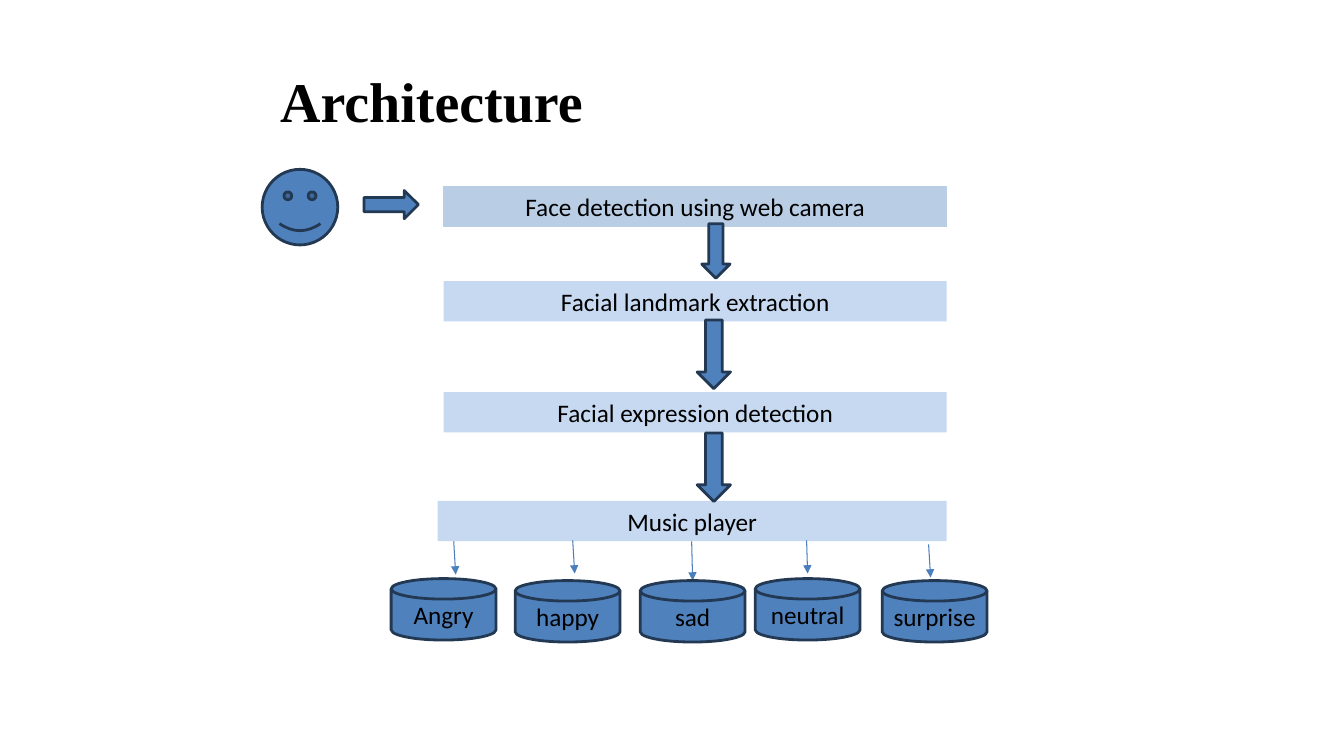
"""Build the architecture slide of an emotion-based music player."""
from lxml import etree
from pptx import Presentation
from pptx.dml.color import RGBColor
from pptx.enum.shapes import MSO_CONNECTOR, MSO_SHAPE as SHAPE
from pptx.enum.text import MSO_ANCHOR as ANCHOR, PP_ALIGN as ALIGN
from pptx.oxml.ns import qn
from pptx.util import Inches, Pt

TITLE = "Architecture"
BLUE, NAVY, ARROW_BLUE = "4F81BD", "233953", "4B7EBC"
PALE, STEEL, BLACK = "C6D9F1", "B9CDE5", "000000"
STAGE_RIGHT, STAGE_HEIGHT = 9.39, 0.4
DISK_WIDTH, DISK_HEIGHT = 1.04, 0.61

STAGES = [
    ("Face detection using web camera", 4.4, 1.85, STEEL),
    ("Facial landmark extraction", 4.4, 2.79, PALE),
    ("Facial expression detection", 4.4, 3.89, PALE),
    ("Music player", 4.34, 4.97, PALE),
]
STEPS = [
    (3.61, 1.89, 0.54, 0.28, 0),
    (6.83, 2.35, 0.54, 0.28, 90),
    (6.74, 3.35, 0.68, 0.33, 90),
    (6.74, 4.47, 0.68, 0.33, 90),
]
MOODS = [
    ("Angry", 3.88, 5.74, (4.5, 5.37, 4.52, 5.7)),
    ("happy", 5.11, 5.76, (5.68, 5.36, 5.7, 5.69)),
    ("sad", 6.35, 5.76, (6.86, 5.37, 6.87, 5.76)),
    ("neutral", 7.49, 5.74, (8, 5.36, 8.01, 5.69)),
    ("surprise", 8.75, 5.76, (9.21, 5.4, 9.23, 5.73)),
]


def color(value):
    return RGBColor.from_string(value)


def write(frame, text, size, font, bold=False):
    frame.text = text
    run = frame.paragraphs[0].runs[0]
    run.font.size, run.font.name, run.font.bold = Pt(size), font, bold
    run.font.color.rgb = color(BLACK)
    return run


def add_block(slide, kind, box, fill, line=None, width=2, text=None):
    block = slide.shapes.add_shape(kind, *map(Inches, box))
    block.shadow.inherit = False
    block.fill.solid()
    block.fill.fore_color.rgb = color(fill)
    if line:
        block.line.color.rgb = color(line)
        block.line.width = Pt(width)
    else:
        block.line.fill.background()
    if text:
        frame = block.text_frame
        write(frame, text, 18, "Calibri")
        frame.word_wrap = True
        frame.vertical_anchor = ANCHOR.MIDDLE
        frame.paragraphs[0].alignment = ALIGN.CENTER
    return block


def add_arrow(slide, ends):
    arrow = slide.shapes.add_connector(MSO_CONNECTOR.STRAIGHT, *map(Inches, ends))
    arrow.line.color.rgb = color(ARROW_BLUE)
    arrow.line.width = Pt(0.75)
    etree.SubElement(arrow.line._get_or_add_ln(), qn("a:tailEnd"), type="triangle")
    etree.SubElement(arrow._element.spPr, qn("a:effectLst"))


def add_title(slide):
    heading = slide.shapes.add_textbox(*map(Inches, (2.75, 0.34, 7.56, 1.17)))
    frame = heading.text_frame
    frame.word_wrap = True
    frame.margin_left, frame.margin_top = Inches(0.03), Inches(0.32)
    frame.margin_right = frame.margin_bottom = 0
    write(frame, TITLE, 40, "Times New Roman", bold=True)


def main():
    deck = Presentation()
    deck.slide_width, deck.slide_height = Inches(13.33), Inches(7.5)
    slide = deck.slides.add_slide(deck.slide_layouts[6])
    add_title(slide)
    add_block(slide, SHAPE.SMILEY_FACE, (2.6, 1.68, 0.75, 0.75), BLUE, NAVY)
    for text, left, top, fill in STAGES:
        box = (left, top, STAGE_RIGHT - left, STAGE_HEIGHT)
        outline = STEEL if fill == STEEL else None
        add_block(slide, SHAPE.RECTANGLE, box, fill, outline, 0.75, text)
    for *box, turn in STEPS:
        add_block(slide, SHAPE.RIGHT_ARROW, box, BLUE, NAVY).rotation = turn
    for mood, left, top, ends in MOODS:
        add_arrow(slide, ends)
        box = (left, top, DISK_WIDTH, DISK_HEIGHT)
        add_block(slide, SHAPE.FLOWCHART_MAGNETIC_DISK, box, BLUE, NAVY, text=mood)
    deck.save("out.pptx")


if __name__ == "__main__":
    main()
